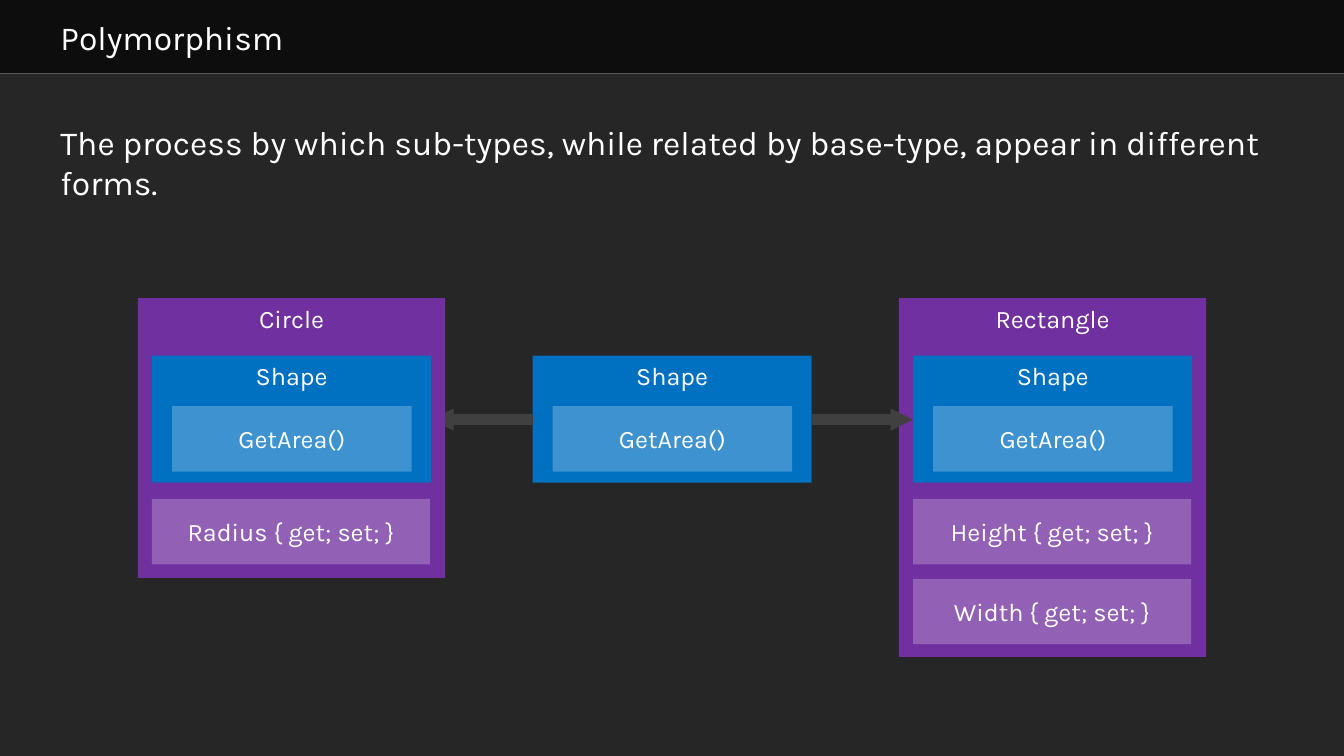
from dataclasses import dataclass

import pptx
import pptx.dml.color
import pptx.enum.shapes
import pptx.enum.text
import pptx.oxml
import pptx.oxml.ns
import pptx.util

COLS, ROWS = 160, 90  # square grid cells over the slide
FONT = "Karla"
WHITE, BLUE, PURPLE, GREY = "FFFFFF", "0070C0", "7030A0", "404040"
HEADER_H = 8.76
BASE_X, BASE_Y, BASE_W, BASE_H, PITCH = 18.1, 42.35, 33.24, 15.12, 45.3
CHILD_Y, CHILD_W, CHILD_PAD = 35.5, 36.6, 1.7
MEMBER_H, MEMBER_Y, MEMBER_PITCH = 7.8, 59.4, 9.5
ARROW_Y = 49.95
ALIGN = pptx.enum.text.PP_ALIGN
ANCHOR = pptx.enum.text.MSO_ANCHOR

prs = pptx.Presentation()
prs.slide_width = pptx.util.Inches(13.333)
prs.slide_height = pptx.util.Inches(7.5)
s = prs.slides.add_slide(prs.slide_layouts[6])


@dataclass(frozen=True)
class Box:
    """A rectangle in grid cells."""
    x: float
    y: float
    w: float
    h: float


@dataclass(frozen=True)
class SubType:
    """A class derived from Shape, with its own properties."""
    name: str
    column: int
    height: float
    properties: tuple[str, ...]


def gx(cells: float) -> int:
    """Horizontal length of a number of grid columns."""
    return round(prs.slide_width * cells / COLS)


def gy(cells: float) -> int:
    """Vertical length of a number of grid rows."""
    return round(prs.slide_height * cells / ROWS)


def rgb(color: str) -> pptx.dml.color.RGBColor:
    """Colour from a hex string."""
    return pptx.dml.color.RGBColor.from_string(color)


def write(sp, text: str, *, size: float = 18, color: str = WHITE,
          align=ALIGN.CENTER, anchor=ANCHOR.TOP,
          left: float = 1.2, top: float = 0.6) -> None:
    """Put formatted text in a shape, with insets in grid cells."""
    tf = sp.text_frame
    tf.word_wrap = True
    tf.vertical_anchor = anchor
    tf.margin_left, tf.margin_top = gx(left), gy(top)
    p = tf.paragraphs[0]
    p.alignment = align
    r = p.add_run()
    r.text = text
    r.font.size, r.font.name = pptx.util.Pt(size), FONT
    r.font.color.rgb = rgb(color)


def add_box(box: Box, fill: str, text: str, *, alpha: int = 100, **fmt) -> None:
    """Draw a borderless rectangle with text."""
    sp = s.shapes.add_shape(pptx.enum.shapes.MSO_SHAPE.RECTANGLE,
                            gx(box.x), gy(box.y), gx(box.w), gy(box.h))
    sp.shadow.inherit = False
    sp.line.fill.background()
    sp.fill.solid()
    sp.fill.fore_color.rgb = rgb(fill)
    if alpha < 100:
        clr = sp._element.spPr.find(".//" + pptx.oxml.ns.qn("a:srgbClr"))
        add_xml(clr, "alpha", val=str(alpha * 1000))
    write(sp, text, **fmt)


def add_xml(parent, tag: str, **attributes: str) -> None:
    """Append a DrawingML element to a parent element."""
    element = pptx.oxml.parse_xml(f"<a:{tag} {pptx.oxml.ns.nsdecls('a')}/>")
    for name, value in attributes.items():
        element.set(name, value)
    parent.append(element)


def add_line(x1: float, x2: float, y: float, color: str, width: float,
             arrow: bool = False) -> None:
    """Draw a horizontal line, with an arrowhead at its end if asked."""
    line = s.shapes.add_connector(pptx.enum.shapes.MSO_CONNECTOR.STRAIGHT,
                                  gx(x1), gy(y), gx(x2), gy(y))
    line.line.color.rgb = rgb(color)
    line.line.width = pptx.util.Pt(width)
    if arrow:
        add_xml(line.line._get_or_add_ln(), "tailEnd", type="triangle",
                w="sm", len="sm")
    add_xml(line._element.spPr, "effectLst")


def add_member(x: float, y: float, w: float, text: str) -> None:
    """Draw a translucent class member."""
    add_box(Box(x, y, w, MEMBER_H), WHITE, text, alpha=24,
            anchor=ANCHOR.MIDDLE)


def add_base(column: int) -> None:
    """Draw the base class with its method in one of three columns."""
    x = BASE_X + column * PITCH
    add_box(Box(x, BASE_Y, BASE_W, BASE_H), BLUE, "Shape")
    add_member(x + 2.4, BASE_Y + 6, 28.5, "GetArea()")


def add_subtype(sub: SubType) -> None:
    """Draw a sub-type around its base class and properties."""
    x = BASE_X + sub.column * PITCH
    add_box(Box(x - CHILD_PAD, CHILD_Y, CHILD_W, sub.height), PURPLE, sub.name)
    add_base(sub.column)
    for i, text in enumerate(sub.properties):
        add_member(x, MEMBER_Y + i * MEMBER_PITCH, 33.1, text)


CIRCLE = SubType("Circle", 0, 33.3, ("Radius { get; set; }",))
RECTANGLE = SubType("Rectangle", 2, 42.7,
                    ("Height { get; set; }", "Width { get; set; }"))

add_box(Box(0, 0, COLS, HEADER_H), "0D0D0D", "Polymorphism", size=24,
        align=ALIGN.LEFT, anchor=ANCHOR.MIDDLE, left=7.2)
add_box(Box(0, HEADER_H, COLS, ROWS - HEADER_H), "262626",
        "The process by which sub-types, while related by base-type, "
        "appear in different forms.",
        size=24, align=ALIGN.LEFT, left=7.2, top=5.75)
add_line(0, COLS, HEADER_H, "595959", 0.5)

add_base(1)
add_subtype(RECTANGLE)
middle = BASE_X + PITCH
add_line(middle, BASE_X + BASE_W, ARROW_Y, GREY, 8, arrow=True)
add_line(middle + BASE_W, middle + PITCH, ARROW_Y, GREY, 8, arrow=True)
add_subtype(CIRCLE)

prs.save("out.pptx")
